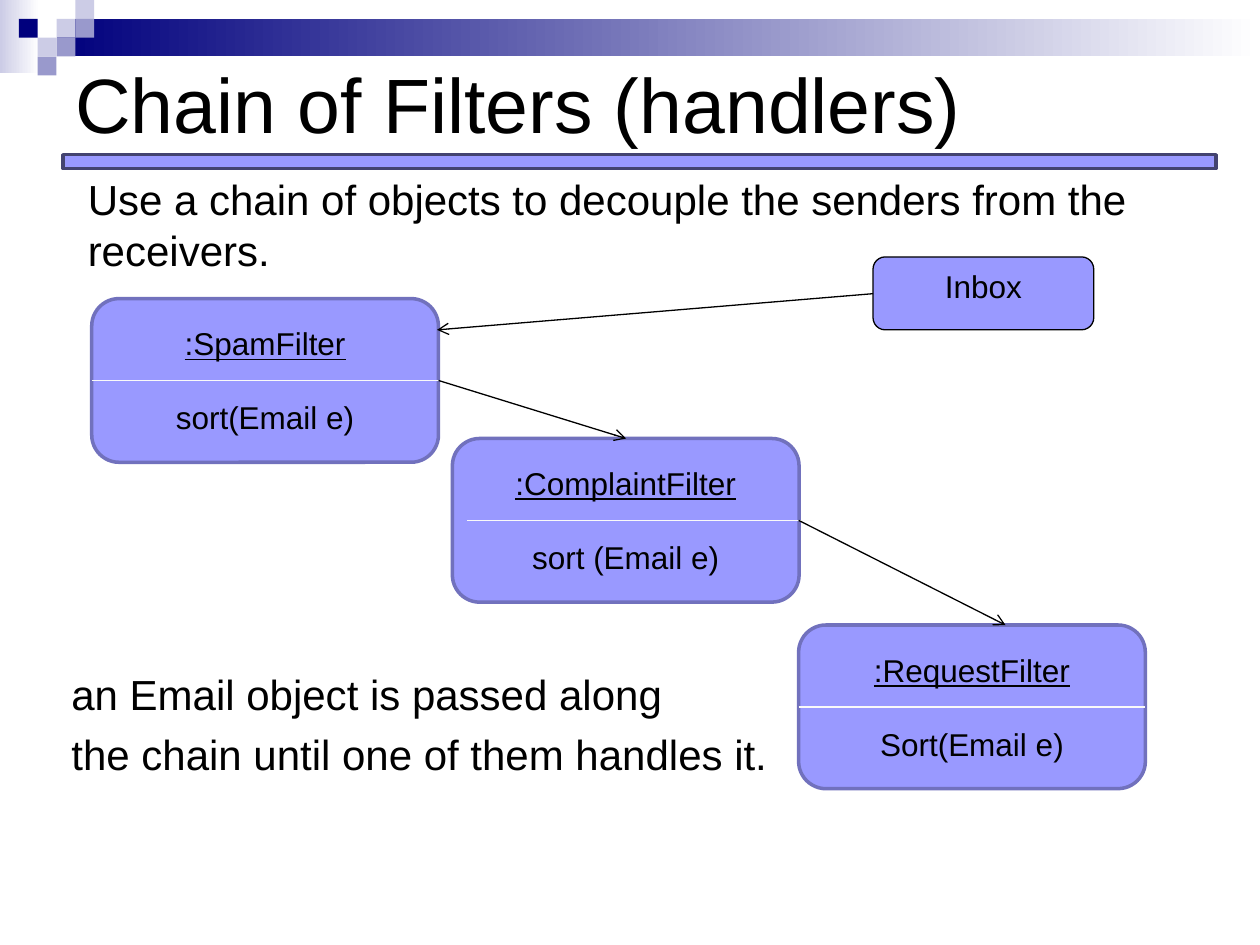
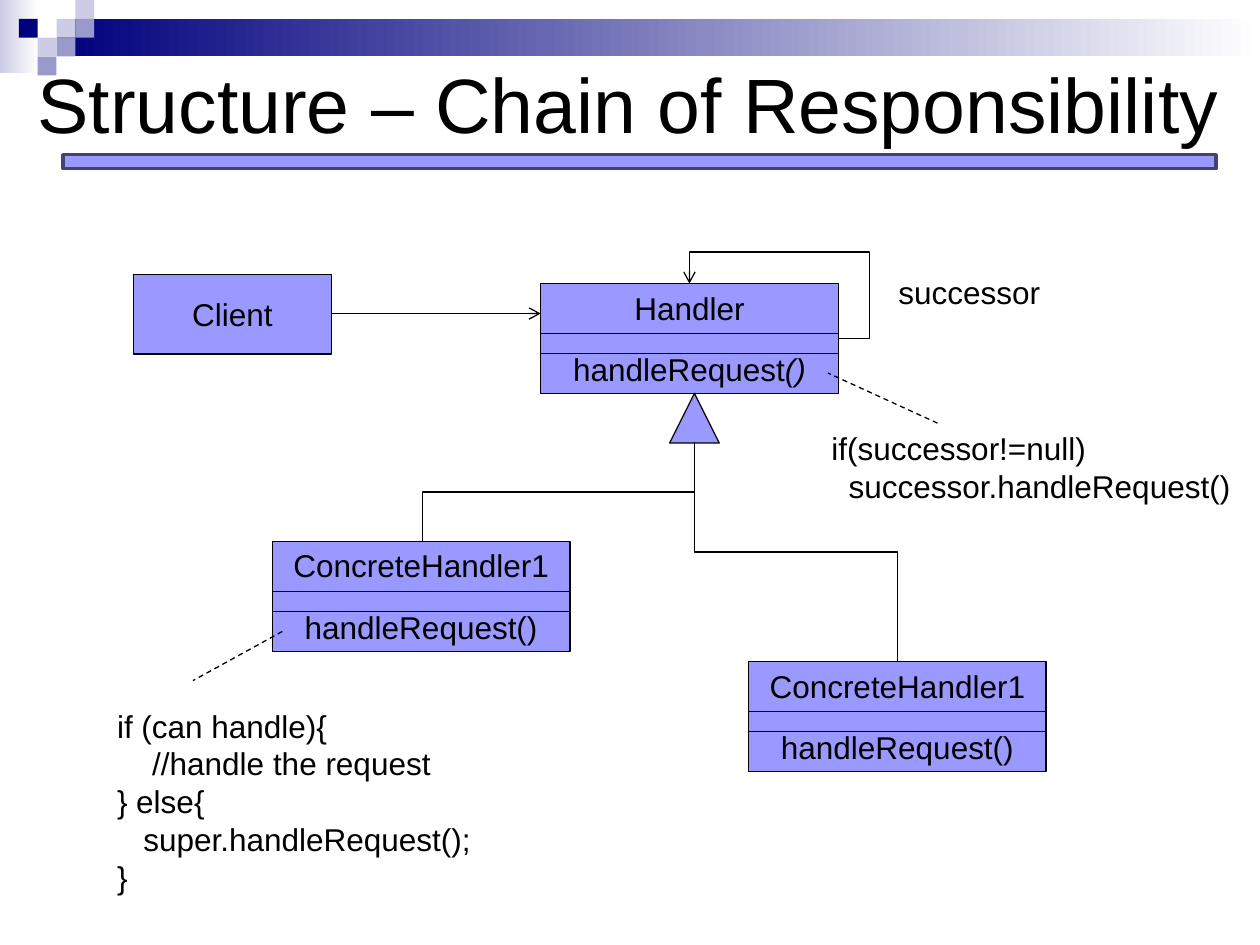
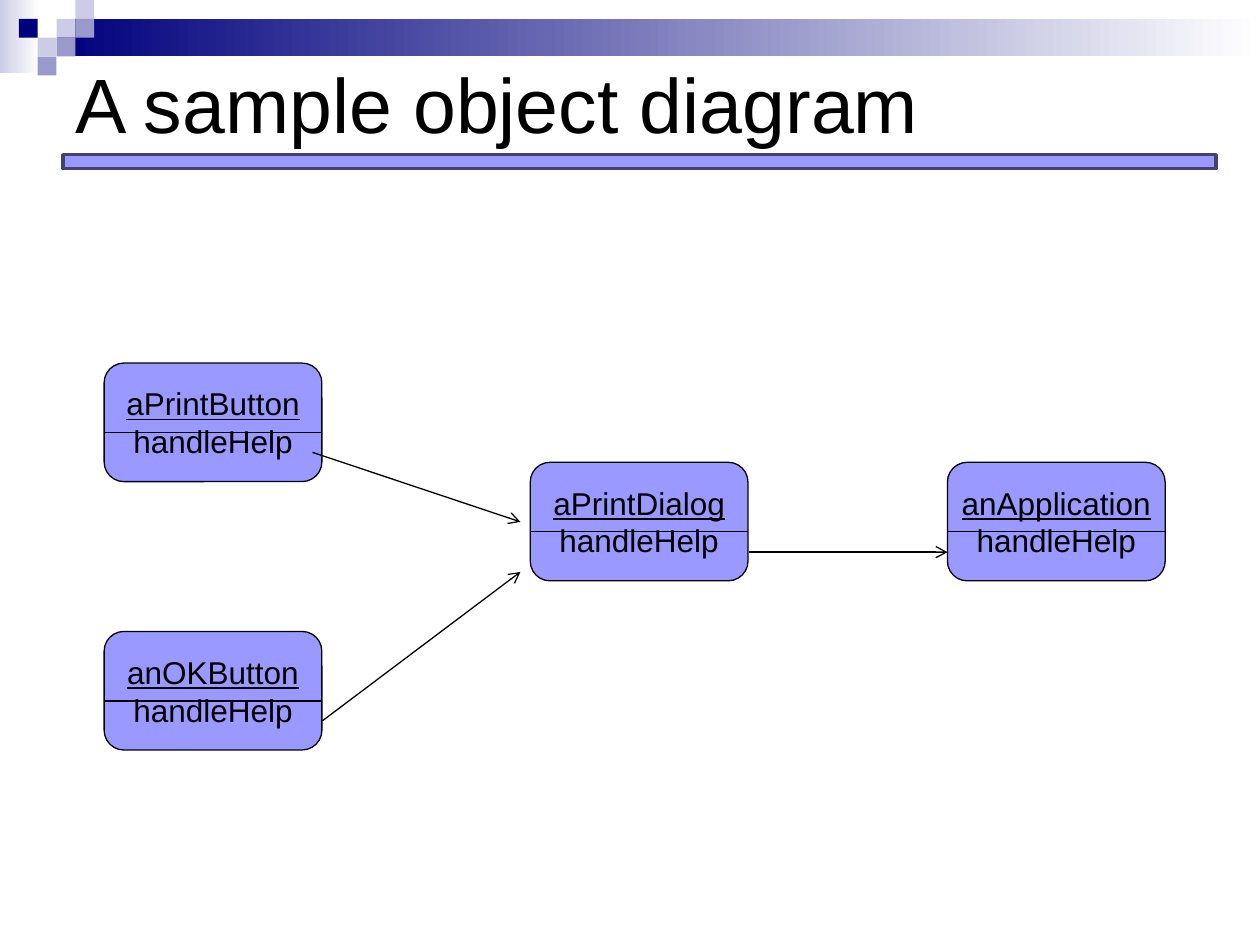
from dataclasses import dataclass

from pptx import Presentation
from pptx import util as u
from pptx.dml.color import RGBColor
from pptx.enum import dml, shapes, text
from pptx.oxml import ns, xmlchemy
from pptx.oxml.xmlchemy import OxmlElement

COLORS = {
    "black": "000000",
    "white": "FFFFFF",
    "navy": "00007D",
    "pale": "CCCCE6",
    "mid": "9999CC",
    "box": "9999FF",
    "box_edge": "7171BD",
    "rule_edge": "434370",
    "divider": "F9F9F9",
}
FONT = "Arial"
SHAPE = shapes.MSO_SHAPE
MIDDLE = text.MSO_ANCHOR.MIDDLE
TOP = text.MSO_ANCHOR.TOP
BOTTOM = text.MSO_ANCHOR.BOTTOM
CENTER = text.PP_ALIGN.CENTER
LEFT = text.PP_ALIGN.LEFT


# Repeated elements; all lengths are in centimetres
@dataclass
class Box:
    x: float
    y: float
    w: float
    h: float


@dataclass
class Line:
    text: str
    italic_tail: str = ""
    underline: bool = False
    before: float = 0
    indent: float = 0


@dataclass
class Filter:
    name: str
    method: str
    x: float
    y: float
    divider_shift: float = 0


@dataclass
class Node:
    name: str
    x: float
    y: float


@dataclass
class ClassBox:
    name: str
    method: str
    x: float
    y: float
    italic_tail: str = ""


@dataclass
class Square:
    col: int
    row: int
    color: str


SQUARE = 0.38
SQUARES = [
    Square(3, 1, "pale"), Square(4, 0, "pale"), Square(4, 1, "mid"),
    Square(2, 2, "pale"), Square(1, 1, "navy"), Square(3, 2, "mid"),
    Square(2, 3, "mid"),
]


# Drawing helpers
def rgb(name: str) -> RGBColor:
    return RGBColor.from_string(COLORS[name])


def cm(*values: float) -> list:
    return [u.Cm(v) for v in values]


def write(sp, lines: list, size=18, align=LEFT, anchor=TOP, wrap=True,
          grow=False, bottom=0.13) -> None:
    """Fill a shape with formatted paragraphs."""
    tf = sp.text_frame
    tf.word_wrap = wrap
    tf.vertical_anchor = anchor
    tf.margin_bottom = u.Cm(bottom)
    if grow:
        tf.auto_size = text.MSO_AUTO_SIZE.SHAPE_TO_FIT_TEXT
    for i, line in enumerate(lines):
        p = tf.paragraphs[0] if i == 0 else tf.add_paragraph()
        p.alignment = align
        if line.before:
            p.space_before = u.Pt(line.before)
        if line.indent:
            p._p.get_or_add_pPr().set("marL", str(u.Cm(line.indent)))
        for content, italic in ((line.text, False), (line.italic_tail, True)):
            if content:
                r = p.add_run()
                r.text = content
                r.font.name = FONT
                r.font.size = u.Pt(size)
                r.font.color.rgb = rgb("black")
                r.font.underline = line.underline
                r.font.italic = italic


def add_box(s, kind, box: Box, fill="box", edge=None, width=0.75):
    sp = s.shapes.add_shape(kind, *cm(box.x, box.y, box.w, box.h))
    sp.shadow.inherit = False
    sp.fill.solid()
    sp.fill.fore_color.rgb = rgb(fill)
    if edge:
        sp.line.color.rgb = rgb(edge)
        sp.line.width = u.Pt(width)
    else:
        sp.line.fill.background()
    return sp


def add_fade(s, box: Box, start: str) -> None:
    sp = add_box(s, SHAPE.RECTANGLE, box)
    sp.fill.gradient()
    sp.fill.gradient_angle = 0
    for stop, color, pos in zip(sp.fill.gradient_stops, (start, "white"), (0, 1)):
        stop.color.rgb = rgb(color)
        stop.position = pos


def add_label(s, box: Box, lines: list, **fmt) -> None:
    write(s.shapes.add_textbox(*cm(box.x, box.y, box.w, box.h)), lines, **fmt)


def add_line(s, x1: float, y1: float, x2: float, y2: float, color="black",
             arrow=False, dashed=False, kind=shapes.MSO_CONNECTOR.STRAIGHT):
    c = s.shapes.add_connector(kind, *cm(x1, y1, x2, y2))
    c.line.color.rgb = rgb(color)
    c.line.width = u.Pt(0.75)
    if dashed:
        c.line.dash_style = dml.MSO_LINE.DASH
    if arrow:
        tail = OxmlElement("a:tailEnd")
        tail.set("type", "arrow")
        c.line._get_or_add_ln().append(tail)
    c._element.spPr.append(OxmlElement("a:effectLst"))
    return c


def add_drop(s, x1: float, y1: float, x2: float, y2: float) -> None:
    """Elbow that leaves downwards: a sideways elbow turned about its centre."""
    cx, cy = (x1 + x2) / 2, (y1 + y2) / 2
    half_w, half_h = (y2 - y1) / 2, abs(x2 - x1) / 2
    side, angle = (1, 90) if x2 < x1 else (-1, 270)
    c = add_line(s, cx - side * half_w, cy - half_h, cx + side * half_w,
                 cy + half_h, kind=shapes.MSO_CONNECTOR.ELBOW)
    c._element.spPr.find(ns.qn("a:xfrm")).set("rot", str(angle * 60000))


def add_loop(s, x1: float, y1: float, x2: float, y2: float,
             out: int, over: int) -> None:
    """Four-part elbow arrow that bulges past both of its ends."""
    c = add_line(s, x1, y1, x2, y2, arrow=True, kind=shapes.MSO_CONNECTOR.ELBOW)
    geom = c._element.spPr.find(ns.qn("a:prstGeom"))
    geom.set("prst", "bentConnector4")
    guides = geom.find(ns.qn("a:avLst"))
    for name, value in (("adj1", out), ("adj2", over)):
        gd = OxmlElement("a:gd")
        gd.set("name", name)
        gd.set("fmla", f"val {value}")
        guides.append(gd)


def add_slide(prs, title: str, x=1.27, w=22.86):
    """Blank slide with the shared band, squares, rule and title."""
    s = prs.slides.add_slide(prs.slide_layouts[6])
    add_fade(s, Box(0, 0, 0.79, 1.47), "pale")
    add_fade(s, Box(1.14, 0.38, 24.26, 0.76), "navy")
    for q in SQUARES:
        add_box(s, SHAPE.RECTANGLE,
                Box(q.col * SQUARE, q.row * SQUARE, SQUARE, SQUARE), q.color)
    add_box(s, SHAPE.RECTANGLE, Box(1.27, 3.12, 23.24, 0.28),
            edge="rule_edge", width=2)
    add_label(s, Box(x, 0.17, w, 3.81), [Line(title)], size=44, anchor=MIDDLE)
    return s


# Slide 1: chain of filters
def add_filter(s, f: Filter) -> None:
    w, h = 6.99, 3.3
    sp = add_box(s, SHAPE.ROUNDED_RECTANGLE, Box(f.x, f.y, w, h),
                 edge="box_edge", width=2)
    write(sp, [Line(f.name, underline=True), Line(f.method, before=20.7)],
          align=CENTER, anchor=MIDDLE)
    x, y = f.x + f.divider_shift, f.y + h / 2
    add_line(s, x, y, x + w, y, color="divider")


def filters_slide(prs) -> None:
    s = add_slide(prs, "Chain of Filters (handlers)")
    add_label(s, Box(1.19, 3.94, 22.86, 12.6), [
        Line("an Email object is passed along"),
        Line("the chain until one of them handles it.", before=5.5),
    ], size=24, anchor=BOTTOM, bottom=0.84)
    for f in (
        Filter(":SpamFilter", "sort(Email e)", 1.85, 6.02),
        Filter(":ComplaintFilter", "sort (Email e)", 9.12, 8.84, 0.3),
        Filter(":RequestFilter", "Sort(Email e)", 16.1, 12.6),
    ):
        add_filter(s, f)
    add_line(s, 8.84, 7.67, 12.62, 8.84, arrow=True)
    add_line(s, 16.1, 10.49, 20.27, 12.6, arrow=True)
    add_label(s, Box(1.52, 3.38, 21.97, 2.31), [
        Line("Use a chain of objects to decouple the senders from the receivers."),
    ], size=24, grow=True)
    inbox = add_box(s, SHAPE.ROUNDED_RECTANGLE, Box(17.6, 5.18, 4.45, 1.47),
                    edge="black")
    write(inbox, [Line("Inbox")], align=CENTER)
    add_line(s, 17.6, 5.92, 8.81, 6.65, arrow=True)


# Slide 2: class structure
def add_class(s, b: ClassBox) -> None:
    w = 6
    sp = add_box(s, SHAPE.RECTANGLE, Box(b.x, b.y, w, 2.21), edge="black")
    write(sp, [Line(b.name), Line(b.method, b.italic_tail, before=13.8)],
          align=CENTER, anchor=MIDDLE, wrap=False)
    for dy in (1, 1.4):
        add_line(s, b.x, b.y + dy, b.x + w, b.y + dy)


def structure_slide(prs) -> None:
    s = add_slide(prs, "Structure – Chain of Responsibility", x=0.51, w=24.59)
    client = add_box(s, SHAPE.RECTANGLE, Box(2.69, 5.54, 3.99, 1.6), edge="black")
    write(client, [Line("Client")], align=CENTER, anchor=MIDDLE, wrap=False)
    for b in (
        ClassBox("Handler", "handleRequest", 10.9, 5.72, "()"),
        ClassBox("ConcreteHandler1", "handleRequest()", 5.49, 10.92),
        ClassBox("ConcreteHandler1", "handleRequest()", 15.09, 13.34),
    ):
        add_class(s, b)

    # Association, successor loop and inheritance
    add_line(s, 6.7, 6.32, 10.9, 6.32, arrow=True)
    add_loop(s, 16.9, 6.83, 13.9, 5.72, out=-21000, over=157600)
    add_box(s, SHAPE.ISOSCELES_TRIANGLE, Box(13.5, 7.93, 1, 1), edge="black")
    add_drop(s, 14, 8.92, 8.51, 10.92)
    add_drop(s, 14, 8.92, 18.1, 13.34)

    # Notes with code
    add_label(s, Box(17.86, 5.38, 3.38, 1.02), [Line("successor")],
              wrap=False, grow=True)
    add_label(s, Box(2.11, 14.12, 7.67, 4.06), [
        Line("if (can handle){"),
        Line("//handle the request", indent=0.71),
        Line("} else{"),
        Line("super.handleRequest();", indent=0.53),
        Line("}"),
    ], wrap=False, grow=True)
    add_line(s, 5.69, 12.73, 3.89, 13.72, dashed=True)
    add_label(s, Box(16.51, 8.53, 8.59, 1.78), [
        Line("if(successor!=null)"),
        Line("successor.handleRequest()", indent=0.35),
    ], wrap=False, grow=True)
    add_line(s, 18.9, 8.53, 16.69, 7.52, dashed=True)


# Slide 3: object diagram
def add_node(s, n: Node) -> None:
    w, divider_y = 4.39, n.y + 1.4
    sp = add_box(s, SHAPE.ROUNDED_RECTANGLE, Box(n.x, n.y, w, 2.39), edge="black")
    write(sp, [Line(n.name, underline=True), Line("handleHelp")],
          align=CENTER, anchor=MIDDLE, wrap=False)
    add_line(s, n.x, divider_y, n.x + w, divider_y)


def objects_slide(prs) -> None:
    s = add_slide(prs, "A sample object diagram")
    for n in (
        Node("aPrintDialog", 10.69, 9.32),
        Node("aPrintButton", 2.1, 7.32),
        Node("anApplication", 19.1, 9.32),
        Node("anOKButton", 2.1, 12.73),
    ):
        add_node(s, n)
    for ends in ((6.3, 9.12, 10.49, 10.52), (6.5, 14.53, 10.49, 11.53),
                 (15.09, 11.13, 19.1, 11.13)):
        add_line(s, *ends, arrow=True)


def main() -> None:
    prs = Presentation()
    prs.slide_width, prs.slide_height = cm(25.4, 19.05)
    filters_slide(prs)
    structure_slide(prs)
    objects_slide(prs)
    prs.save("out.pptx")


if __name__ == "__main__":
    main()
